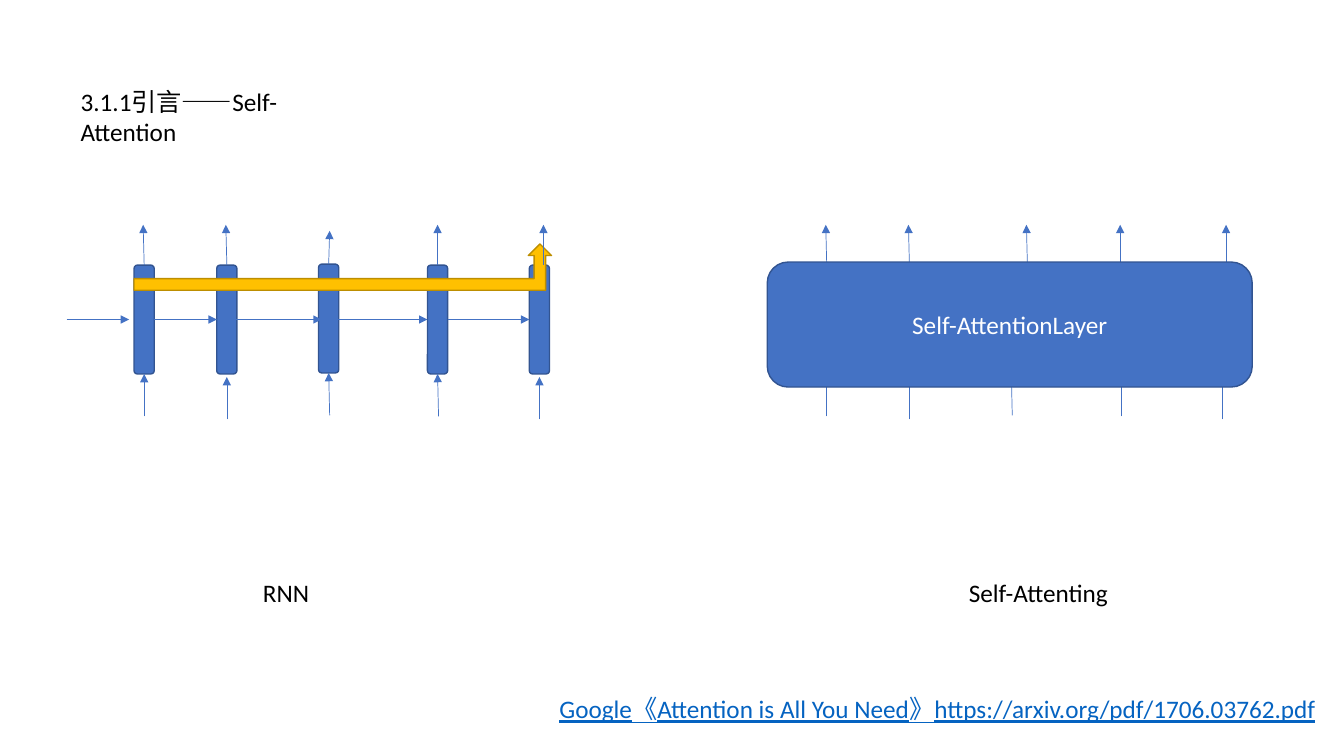
from dataclasses import dataclass
from typing import Optional

from lxml import etree
from pptx import Presentation
from pptx import util as u
from pptx.dml.color import RGBColor
from pptx.enum import shapes, text
from pptx.oxml import ns

BLUE = RGBColor(0x44, 0x72, 0xC4)
BLUE_EDGE = RGBColor(0x32, 0x54, 0x91)
GOLD = RGBColor(0xFF, 0xC0, 0x00)
GOLD_EDGE = RGBColor(0xBD, 0x8E, 0x00)
LINK = RGBColor(0x05, 0x63, 0xC1)
BLACK = RGBColor(0x00, 0x00, 0x00)
WHITE = RGBColor(0xFF, 0xFF, 0xFF)

FONT = "Calibri"
TOP, LEFT, BOTTOM, RIGHT = range(4)
FLOW_Y = 3.17
ATTENTION_SHIFT = 6.77


@dataclass(frozen=True)
class Block:
    left: float
    top: float
    width: float
    height: float
    kind: shapes.MSO_SHAPE = shapes.MSO_SHAPE.ROUNDED_RECTANGLE
    fill: RGBColor = BLUE
    edge: RGBColor = BLUE_EDGE


@dataclass(frozen=True)
class Arrow:
    x1: float
    y1: float
    x2: float
    y2: float
    begin: Optional[int] = None
    end: Optional[int] = None
    begin_side: int = RIGHT
    end_side: int = LEFT

    def shifted(self, dx: float) -> "Arrow":
        return Arrow(self.x1 + dx, self.y1, self.x2 + dx, self.y2)


@dataclass(frozen=True)
class Label:
    words: str
    left: float
    top: float
    width: float
    color: RGBColor = BLACK
    wraps: bool = False
    underlined: bool = False


CELLS = [Block(left, top, 0.2, 1.08) for left, top in
         [(1.33, 2.63), (2.15, 2.63), (3.16, 2.62), (4.24, 2.63), (5.25, 2.63)]]

STEPS = [
    Arrow(0.66, FLOW_Y, 1.28, FLOW_Y),
    Arrow(1.53, FLOW_Y, 2.15, FLOW_Y, begin=0, end=1),
    Arrow(2.25, FLOW_Y, 3.19, FLOW_Y),
    Arrow(3.27, FLOW_Y, 4.24, FLOW_Y, end=3),
    Arrow(4.44, FLOW_Y, 5.25, FLOW_Y, begin=3, end=4),
]

INPUTS = [
    Arrow(1.43, 4.13, 1.43, 3.71, end=0, end_side=BOTTOM),
    Arrow(2.25, 4.16, 2.25, 3.74),
    Arrow(3.27, 4.12, 3.26, 3.7, end=2, end_side=BOTTOM),
    Arrow(4.35, 4.13, 4.35, 3.71, end=3, end_side=BOTTOM),
    Arrow(5.35, 4.16, 5.35, 3.74),
]

OUTPUTS = [
    Arrow(1.43, 2.63, 1.42, 2.23, begin=0, begin_side=TOP),
    Arrow(2.25, 2.63, 2.24, 2.23, begin=1, begin_side=TOP),
    Arrow(3.26, 2.62, 3.27, 2.29, begin=2, begin_side=TOP),
    Arrow(4.34, 2.63, 4.34, 2.23, begin=3, begin_side=TOP),
    Arrow(5.39, 2.63, 5.39, 2.23),
]

ATTENTION_OUTPUTS = [arrow.shifted(ATTENTION_SHIFT) for arrow in OUTPUTS]
ATTENTION_OUTPUTS[2] = Arrow(10.19, 2.62, 10.18, 2.23)

MEMORY_PATH = Block(1.33, 2.42, 4.14, 0.46, shapes.MSO_SHAPE.BENT_UP_ARROW,
                    GOLD, GOLD_EDGE)
ATTENTION_LAYER = Block(7.61, 2.6, 4.81, 1.24)

LABELS = [
    Label("RNN", 2.51, 5.68, 0.66),
    Label("Self-Attenting", 9.51, 5.68, 1.61),
    Label("Google《Attention is All You Need》https://arxiv.org/pdf/1706.03762.pdf",
          5.45, 6.83, 7.8, LINK, wraps=True, underlined=True),
    Label("3.1.1引言——Self-Attention", 0.7, 0.81, 3.09, wraps=True),
]


def add_span(para, words: str, color: RGBColor, underlined: bool = False) -> None:
    span = para.add_run()
    span.text = words
    span.font.name = FONT
    span.font.size = u.Pt(18)
    span.font.color.rgb = color
    if underlined:
        span.font.underline = True


def add_block(page, block: Block):
    shape = page.shapes.add_shape(
        block.kind, u.Inches(block.left), u.Inches(block.top),
        u.Inches(block.width), u.Inches(block.height))
    shape.shadow.inherit = False
    shape.fill.solid()
    shape.fill.fore_color.rgb = block.fill
    shape.line.color.rgb = block.edge
    shape.line.width = u.Pt(1)
    return shape


def add_arrow(page, arrow: Arrow, cells: list) -> None:
    line = page.shapes.add_connector(
        shapes.MSO_CONNECTOR.STRAIGHT, u.Inches(arrow.x1), u.Inches(arrow.y1),
        u.Inches(arrow.x2), u.Inches(arrow.y2))
    if arrow.begin is not None:
        line.begin_connect(cells[arrow.begin], arrow.begin_side)
    if arrow.end is not None:
        line.end_connect(cells[arrow.end], arrow.end_side)
    line.line.color.rgb = BLUE
    line.line.width = u.Pt(0.5)
    properties = line.line._get_or_add_ln()
    etree.SubElement(properties, ns.qn("a:tailEnd"), type="triangle")
    etree.SubElement(properties.getparent(), ns.qn("a:effectLst"))


def add_label(page, label: Label) -> None:
    box = page.shapes.add_textbox(
        u.Inches(label.left), u.Inches(label.top),
        u.Inches(label.width), u.Inches(0.4))
    box.text_frame.word_wrap = label.wraps
    box.text_frame.auto_size = text.MSO_AUTO_SIZE.SHAPE_TO_FIT_TEXT
    add_span(box.text_frame.paragraphs[0], label.words, label.color, label.underlined)


def main() -> None:
    deck = Presentation()
    deck.slide_width = u.Inches(13.33)
    deck.slide_height = u.Inches(7.5)
    page = deck.slides.add_slide(deck.slide_layouts[6])

    cells = [add_block(page, cell) for cell in CELLS]
    for arrow in STEPS:
        add_arrow(page, arrow, cells)
    add_block(page, MEMORY_PATH)
    attention_inputs = [arrow.shifted(ATTENTION_SHIFT) for arrow in INPUTS]
    for arrow in INPUTS + OUTPUTS + attention_inputs + ATTENTION_OUTPUTS:
        add_arrow(page, arrow, cells)

    layer = add_block(page, ATTENTION_LAYER)
    layer.text_frame.vertical_anchor = text.MSO_ANCHOR.MIDDLE
    para = layer.text_frame.paragraphs[0]
    para.alignment = text.PP_ALIGN.CENTER
    add_span(para, "Self-AttentionLayer", WHITE)

    for label in LABELS:
        add_label(page, label)
    deck.save("out.pptx")


if __name__ == "__main__":
    main()
